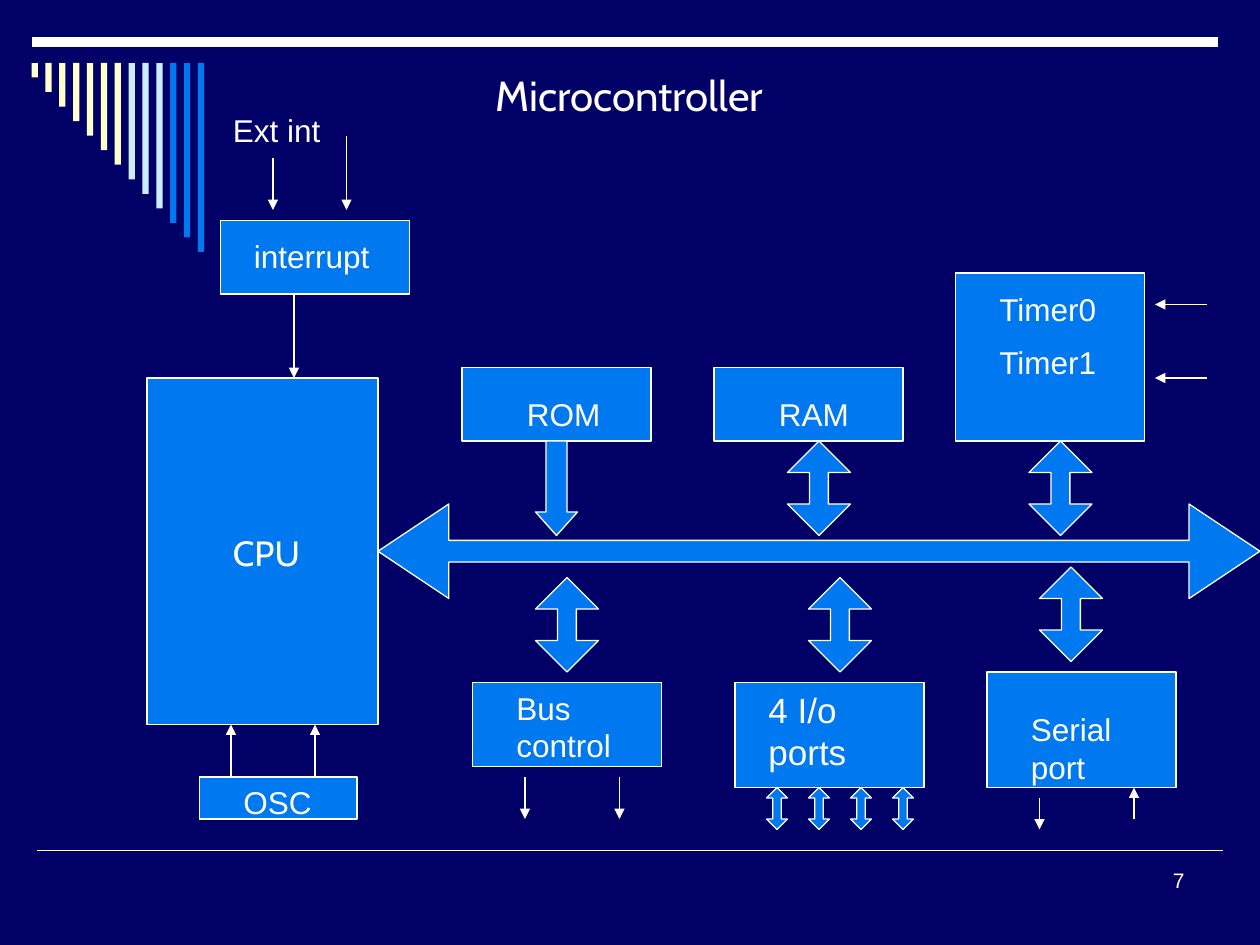
import pptx
import pptx.dml.color
import pptx.enum.shapes
import pptx.enum.text
import pptx.oxml
import pptx.oxml.ns
import pptx.util
from lxml import etree

SHAPE = pptx.enum.shapes.MSO_SHAPE
ALIGN = pptx.enum.text.PP_ALIGN
ANCHOR = pptx.enum.text.MSO_ANCHOR
COLUMNS, ROWS = 120, 90
WIDTH, HEIGHT = 10, 7.5
NAVY, BLUE, WHITE, CREAM, ICE = "000066", "0078F0", "FFFFFF", "FFFFCC", "CCECFF"

TITLE = ("Microcontroller", (46, 6, 29, 6), 24, "Cabin")
BLOCKS = {
    "CPU": (14, 36, 22, 33),
    "ROM": (44, 35, 18, 7),
    "RAM": (68, 35, 18, 7),
    "timers": (91, 26, 18, 16),
    "bus control": (45, 65, 18, 8),
    "ports": (70, 65, 18, 10),
    "serial port": (94, 64, 18, 11),
    "interrupt": (21, 21, 18, 7),
    "oscillator": (19, 74, 15, 4),
}
LABELS = [
    ("CPU", (21, 50, 10, 5), 20, "Cabin"),
    ("ROM", (49, 37, 10, 5), 18, "Arial"),
    ("RAM", (73, 37, 11, 5), 18, "Arial"),
    ("Timer0\nTimer1", (94, 27, 12, 10), 18, "Arial"),
    ("OSC", (22, 74, 9, 5), 18, "Arial"),
    ("interrupt", (23, 22, 14, 5), 18, "Arial"),
    ("Ext int", (21, 10, 16, 5), 18, "Arial"),
    ("Bus control", (48, 65, 12, 8), 18, "Arial"),
    ("4 I/o ports", (72, 65, 14, 9), 20, "Arial"),
    ("Serial port", (97, 67, 13, 8), 18, "Arial"),
]
PAGE_NUMBER = ("7", (86, 82, 28, 6), 12, "Arial")
BUS = (36, 48, 84, 9)
ROM_ARROW = (51, 42, 4, 9)
BUS_LINKS = [(75, 42), (98, 42), (51, 55), (77, 55), (99, 54)]
PORT_COLUMNS = range(73, 86, 4)
SIGNALS = [
    (26, 15, 26, 20), (33, 13, 33, 20), (28, 28, 28, 36),
    (22, 74, 22, 69), (30, 74, 30, 69),
    (115, 29, 110, 29), (115, 36, 110, 36),
    (50, 74, 50, 78), (59, 74, 59, 78),
    (99, 76, 99, 79), (108, 78, 108, 75),
]
RULES = [((3, 4, 116, 4), 6), ((3.5, 81, 116.5, 81), 1)]
BAR_COLORS = [CREAM] * 7 + [ICE] * 3 + [BLUE] * 3
BAR_LEFT, BAR_TOP, BAR_WIDTH, BAR_PITCH, BAR_HEIGHT = 3, 6, 0.6, 1.32, 18


def color(value):
    return pptx.dml.color.RGBColor.from_string(value)


def place(across, down, right, bottom):
    return [pptx.util.Inches(value * size / count) for value, size, count in (
        (across, WIDTH, COLUMNS), (down, HEIGHT, ROWS),
        (right, WIDTH, COLUMNS), (bottom, HEIGHT, ROWS))]


def add_box(page, kind, cells, fill=BLUE, outlined=True, adjustments=()):
    box = page.shapes.add_shape(kind, *place(*cells))
    box.shadow.inherit = False
    box.fill.solid()
    box.fill.fore_color.rgb = color(fill)
    if outlined:
        box.line.color.rgb = color(WHITE)
        box.line.width = pptx.util.Pt(0.75)
    else:
        box.line.fill.background()
    for index, value in enumerate(adjustments):
        box.adjustments[index] = value


def add_line(page, ends, width, arrow=False):
    line = page.shapes.add_connector(
        pptx.enum.shapes.MSO_CONNECTOR.STRAIGHT, *place(*ends))
    line.line.color.rgb = color(WHITE)
    line.line.width = pptx.util.Pt(width)
    if arrow:
        etree.SubElement(line.line._get_or_add_ln(),
                         pptx.oxml.ns.qn("a:tailEnd"), type="triangle")
    etree.SubElement(line._element.spPr, pptx.oxml.ns.qn("a:effectLst"))


def write(box, text, size, font, align=ALIGN.LEFT):
    frame = box.text_frame
    frame.text = text
    frame.word_wrap = True
    frame.vertical_anchor = ANCHOR.TOP
    for index, para in enumerate(frame.paragraphs):
        para.alignment = align
        para.space_before = pptx.util.Pt(size / 2 if index else 0)
        para.font.size = pptx.util.Pt(size)
        para.font.name = font
        para.font.color.rgb = color(WHITE)


def add_label(page, text, cells, size, font, align=ALIGN.LEFT):
    write(page.shapes.add_textbox(*place(*cells)), text, size, font, align)


def main():
    deck = pptx.Presentation()
    deck.slide_width = pptx.util.Inches(WIDTH)
    deck.slide_height = pptx.util.Inches(HEIGHT)
    page = deck.slides.add_slide(deck.slide_layouts[5])
    page.background.fill.solid()
    page.background.fill.fore_color.rgb = color(NAVY)

    text, cells, size, font = TITLE
    title = page.shapes.title
    title.left, title.top, title.width, title.height = place(*cells)
    write(title, text, size, font)

    for ends, width in RULES:
        add_line(page, ends, width)
    for index, fill in enumerate(BAR_COLORS):
        height = BAR_HEIGHT * (index + 1) / len(BAR_COLORS)
        cells = (BAR_LEFT + index * BAR_PITCH, BAR_TOP, BAR_WIDTH, height)
        add_box(page, SHAPE.RECTANGLE, cells, fill, outlined=False)

    for cells in BLOCKS.values():
        add_box(page, SHAPE.RECTANGLE, cells)
    add_box(page, SHAPE.LEFT_RIGHT_ARROW, BUS, adjustments=(0.23, 0.75))
    add_box(page, SHAPE.DOWN_ARROW, ROM_ARROW, adjustments=(0.5, 0.56))
    for across, down in BUS_LINKS:
        add_box(page, SHAPE.UP_DOWN_ARROW, (across, down, 6, 9), adjustments=(0.5, 0.3))
    for across in PORT_COLUMNS:
        add_box(page, SHAPE.UP_DOWN_ARROW, (across, 75, 2, 4), adjustments=(0.5, 0.4))
    for ends in SIGNALS:
        add_line(page, ends, 0.75, arrow=True)

    for label in LABELS:
        add_label(page, *label)
    add_label(page, *PAGE_NUMBER, ALIGN.RIGHT)
    deck.save("out.pptx")


if __name__ == "__main__":
    main()
